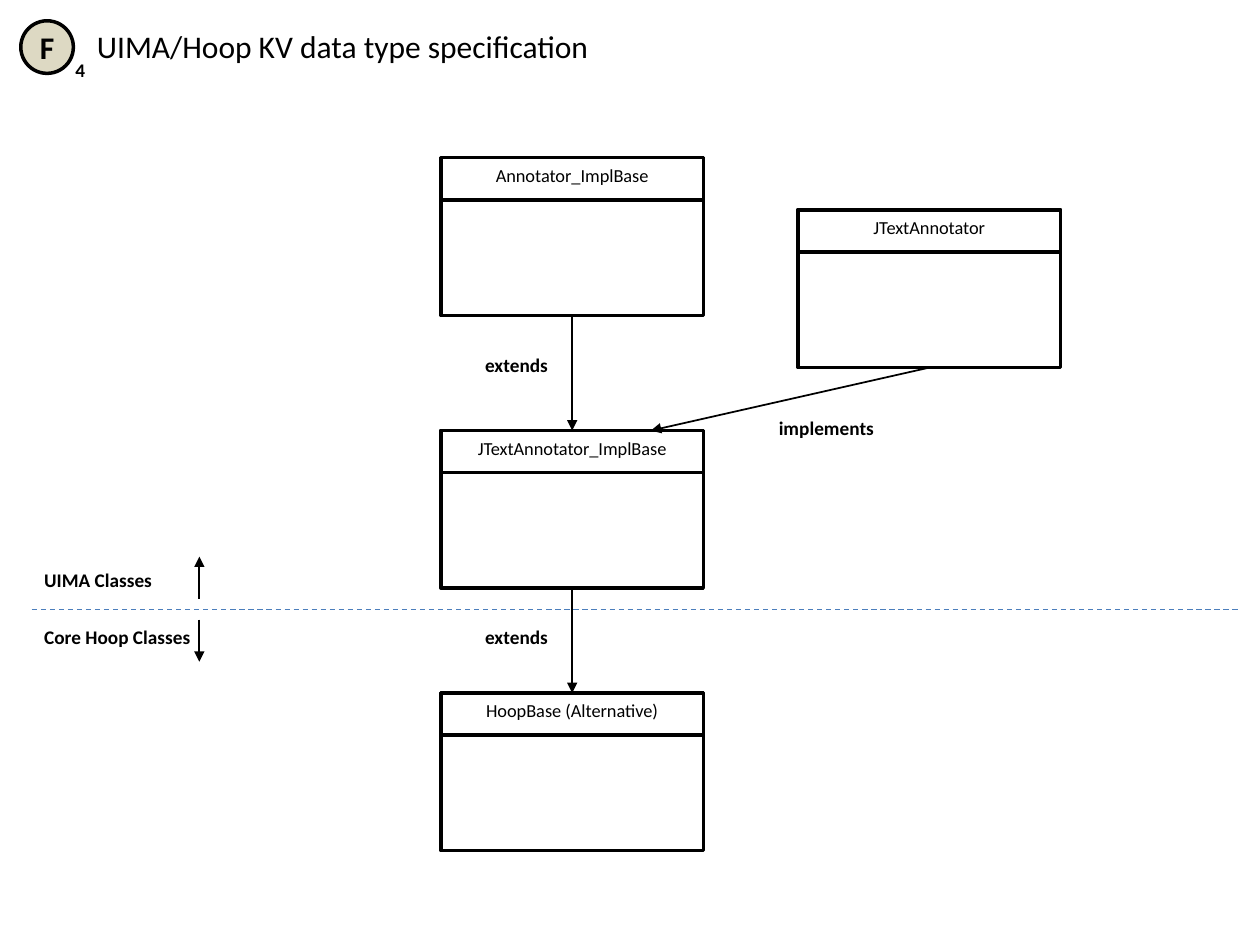
"""Build the class diagram slide."""
from lxml import etree
from pptx import Presentation, util as u
from pptx.dml.color import RGBColor
from pptx.enum import dml, shapes, text
from pptx.oxml.ns import qn

THEME = {
    "font": "Calibri",
    "ink": RGBColor.from_string("000000"),
    "paper": RGBColor.from_string("FFFFFF"),
    "badge": RGBColor.from_string("DDD9C3"),
    "rule": RGBColor.from_string("4B7EBC"),
    "title": {"size": u.Pt(18), "bold": False},
    "mark": {"size": u.Pt(18), "bold": True},
    "label": {"size": u.Pt(11), "bold": True},
    "name": {"size": u.Pt(10.5), "bold": False},
}
WIDE, HIGH, HEAD = 5.29, 3.18, 0.85
LEFT = 8.89
MID = LEFT + WIDE / 2
EDGE = 12.28


def assign(item, values):
    """Set each attribute of item from a dict."""
    for key, value in values.items():
        setattr(item, key, value)


def write(shape, words, kind, align=text.PP_ALIGN.LEFT, **frame):
    """Put formatted text in a shape."""
    body = shape.text_frame
    body.text = words
    assign(body, frame)
    para = body.paragraphs[0]
    para.alignment = align
    font = para.runs[0].font
    assign(font, {"name": THEME["font"], **THEME[kind]})
    font.color.rgb = THEME["ink"]


def place(shape, *spot):
    """Move and size a shape in centimetres."""
    keys = ("left", "top", "width", "height")
    assign(shape, dict(zip(keys, map(u.Cm, spot))))


def add_form(owner, kind, spot, fill=None):
    """Add an outlined preset shape."""
    form = owner.add_shape(kind, *map(u.Cm, spot))
    form.shadow.inherit = False
    if fill is None:
        form.fill.background()
    else:
        form.fill.solid()
        form.fill.fore_color.rgb = fill
    form.line.color.rgb = THEME["ink"]
    form.line.width = u.Pt(2)
    return form


def add_class(slide, name, left, top):
    """Add a class box with a named header."""
    group = slide.shapes.add_group_shape().shapes
    rect = shapes.MSO_SHAPE.RECTANGLE
    add_form(group, rect, (left, top, WIDE, HIGH), THEME["paper"])
    head = add_form(group, rect, (left, top, WIDE, HEAD))
    write(head, name, "name", text.PP_ALIGN.CENTER,
          vertical_anchor=text.MSO_ANCHOR.TOP, word_wrap=True)


def add_label(slide, words, left, top, width):
    """Add a bold one-line label."""
    box = slide.shapes.add_textbox(*map(u.Cm, (left, top, width, 0.73)))
    write(box, words, "label", word_wrap=False,
          auto_size=text.MSO_AUTO_SIZE.SHAPE_TO_FIT_TEXT)


def add_line(slide, ends, color, width, dash=None, arrow=True):
    """Add a straight line or arrow."""
    link = slide.shapes.add_connector(
        shapes.MSO_CONNECTOR.STRAIGHT, *map(u.Cm, ends))
    link.line.color.rgb = color
    assign(link.line, {"width": u.Pt(width), "dash_style": dash})
    props = link._element.spPr
    if arrow:
        etree.SubElement(props.find(qn("a:ln")), qn("a:tailEnd"),
                         type="triangle")
    etree.SubElement(props, qn("a:effectLst"))


def add_head(slide):
    """Fill the title and add its badge."""
    title = slide.shapes.title
    place(title, 1.7, 0.42, 10.54, 1.02)
    write(title, "UIMA/Hoop KV data type specification", "title",
          word_wrap=False, vertical_anchor=text.MSO_ANCHOR.TOP,
          auto_size=text.MSO_AUTO_SIZE.SHAPE_TO_FIT_TEXT)
    badge = add_form(slide.shapes, shapes.MSO_SHAPE.OVAL,
                     (0.42, 0.42, 1.06, 1.06), THEME["badge"])
    write(badge, "F", "mark", text.PP_ALIGN.CENTER, word_wrap=False,
          vertical_anchor=text.MSO_ANCHOR.MIDDLE)
    add_label(slide, "4", 1.27, 1.06, 0.71)


def main():
    """Build and save the slide."""
    deck = Presentation()
    assign(deck, {"slide_width": u.Cm(25.4), "slide_height": u.Cm(19.05)})
    slide = deck.slides.add_slide(deck.slide_layouts[5])
    add_head(slide)

    add_line(slide, (0.64, EDGE, 24.98, EDGE), THEME["rule"], 0.75,
             dml.MSO_LINE.DASH, False)
    for name, left, top in (
        ("HoopBase (Alternative)", LEFT, 13.97),
        ("JTextAnnotator_ImplBase", LEFT, 8.68),
        ("Annotator_ImplBase", LEFT, 3.18),
        ("JTextAnnotator", 16.09, 4.23),
    ):
        add_class(slide, name, left, top)

    for ends in (
        (MID, 3.18 + HIGH, MID, 8.68),
        (MID, 8.68 + HIGH, MID, 13.97),
        (16.09 + WIDE / 2, 4.23 + HIGH, 13.12, 8.68),
        (4.02, EDGE - 0.21, 4.02, EDGE - 1.06),
        (4.02, EDGE + 0.21, 4.02, EDGE + 1.06),
    ):
        add_line(slide, ends, THEME["ink"], 1)

    for words, left, top, width in (
        ("extends", 9.53, 6.99, 1.8),
        ("extends", 9.53, 12.49, 1.8),
        ("implements", 15.45, 8.26, 2.46),
        ("UIMA Classes", 0.64, 11.34, 2.69),
        ("Core Hoop Classes", 0.64, 12.49, 3.48),
    ):
        add_label(slide, words, left, top, width)
    deck.save("out.pptx")


main()
